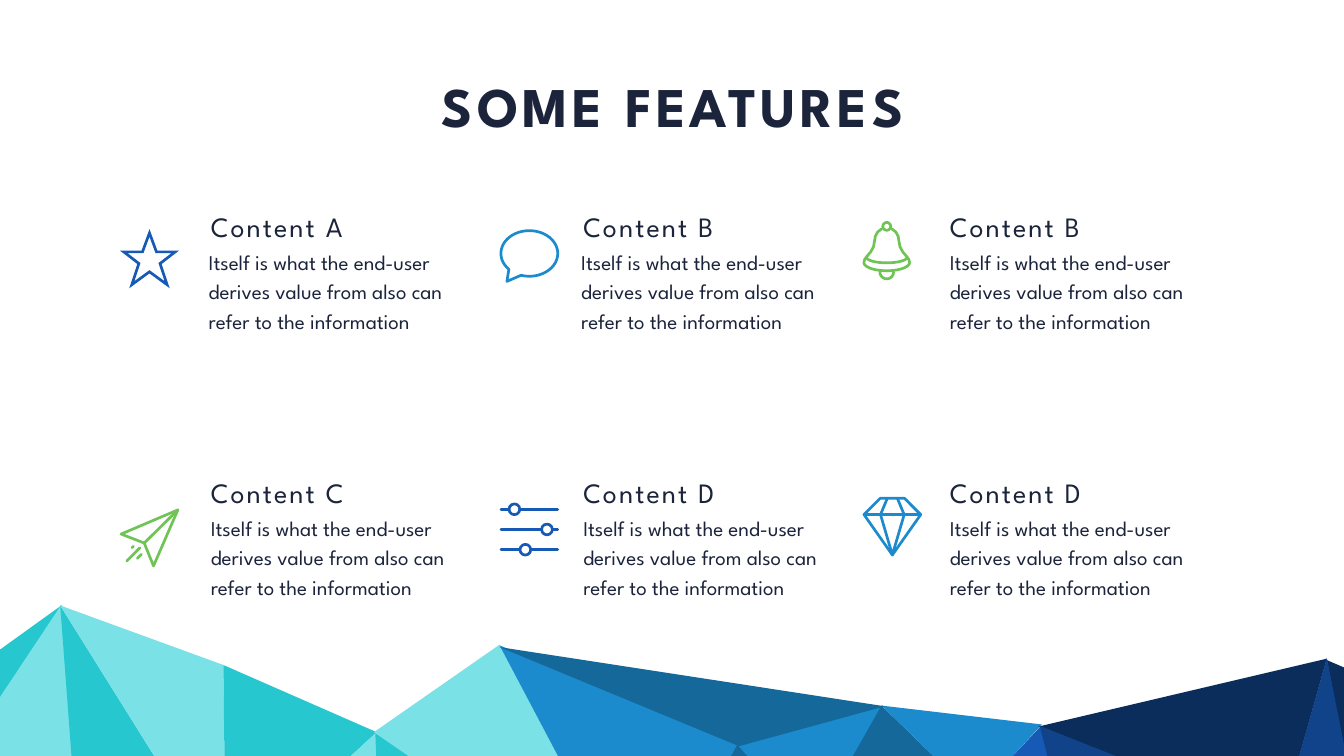
"""Build the "Some features" slide: six features with icons above a faceted mountain range."""
from math import cos, radians, sin

from lxml.etree import SubElement
from pptx import Presentation
from pptx.dml.color import RGBColor
from pptx.enum.shapes import MSO_CONNECTOR as Connector, MSO_SHAPE as Shape
from pptx.enum.text import MSO_AUTO_SIZE as AutoSize, PP_ALIGN as Align
from pptx.oxml.ns import qn
from pptx.util import Pt

COLORS = {"ink": "1B243B", "teal": "27C7CF", "aqua": "7AE1E6", "sky": "1B8BCD", "steel": "14689A",
          "blue": "165AB6", "navy": "0B2D5B", "royal": "104389", "green": "70C456"}
FONT = "League Spartan"
STROKE = 3.85
TITLE = "SOME FEATURES"
BODY = "Itself is what the end-user derives value from also can refer to the information"

FACETS = [
    ("teal", [(89, 864), (0, 928), (0, 999)]),
    ("aqua", [(112, 1198), (87, 865), (-2, 999), (-2, 1198)]),
    ("teal", [(294, 1198), (86, 865), (111, 1198)]),
    ("aqua", [(322, 1198), (319, 950), (86, 865), (294, 1198)]),
    ("teal", [(373, 1198), (538, 1046), (319, 950), (322, 1198)]),
    ("aqua", [(544, 1198), (538, 1046), (373, 1198)]),
    ("teal", [(757, 1198), (536, 1046), (542, 1198)]),
    ("aqua", [(860, 1198), (713.5, 921), (534, 1046), (755, 1198)]),
    ("sky", [(981, 1199.5), (1055.5, 1063), (713.5, 922), (860, 1199.5)]),
    ("sky", [(1052, 1065), (1159, 1186), (1261, 1008)]),
    ("steel", [(1158, 1186), (1393, 1138), (1259, 1008)]),
    ("sky", [(1259, 1008), (1392.5, 1138), (1488, 1035)]),
    ("blue", [(1529, 1203), (1487, 1037), (1391, 1139), (1460, 1203)]),
    ("navy", [(1483, 1038), (1829, 1176), (1895, 941)]),
    ("royal", [(1758, 1203), (1831, 1174), (1485, 1037), (1527, 1203)]),
    ("navy", [(1930, 958), (1895, 943), (1930, 1121)]),
    ("royal", [(1930, 1203), (1930, 1117), (1895, 940), (1829, 1174), (1872, 1203)]),
    ("steel", [(713.5, 924.5), (1263.5, 1009), (1055.5, 1066)]),
    ("steel", [(1131, 1201), (1161, 1185), (1053, 1064), (978.5, 1201)]),
]


def arc(cx, cy, rx, ry, start, end, steps=48):
    angles = [radians(start + (end - start) * i / steps) for i in range(steps + 1)]
    return [(cx + rx * cos(a), cy + ry * sin(a)) for a in angles]


def mirrored(half, axis):
    return [(2 * axis - x, y) for x, y in reversed(half)]


STAR_HALF = [(42.5, 5.4), (52.5, 32.4), (79.2, 32.4), (57.6, 49), (67.7, 79.2), (42.5, 60.8)]
BELL_SIDE = [(27.4, 10.8), (21.5, 15.5), (18.2, 21.5), (17.3, 27), (15.6, 36.5), (11.5, 44),
             (6, 50.5), (3, 54.5), (1.9, 59)]
GEM_HALF = [(35.3, 1.9), (25.6, 25.2), (42.5, 82.8)]
SLIDERS = [(21.2, 9.6), (67.7, 38.4), (36.8, 67.3)]
KNOB = 7.7

ICONS = {
    "star": {"color": "blue", "join": "miter",
             "outlines": [STAR_HALF + mirrored(STAR_HALF, 42.5)[1:-1]]},
    "bubble": {"color": "sky",
               "outlines": [arc(42.5, 34.6, 40.6, 32.6, 107, -224) + [(10.5, 74.5)]]},
    "bell": {"color": "green",
             "strokes": [BELL_SIDE + arc(34.5, 59, 32.6, 11.8, 180, 0) + mirrored(BELL_SIDE, 34.5),
                         arc(34.5, 51.5, 29, 8, 180, 0), arc(34.5, 72.7, 9.7, 9.7, 180, 0)],
             "circles": [(34.5, 7.4, 5.7)]},
    "plane": {"color": "green",
              "outlines": [[(2, 36.5), (83, 2), (48.3, 82), (35, 49.3)]],
              "strokes": [[(83, 2), (35, 49.3)], [(31, 65.5), (25, 71.3)],
                          [(28.8, 56), (10, 75)], [(19.5, 54), (17.5, 56)]]},
    "sliders": {"color": "blue",
                "strokes": [ends for x, y in SLIDERS
                            for ends in ([(2, y), (x - KNOB, y)], [(x + KNOB, y), (83, y)])],
                "circles": [(x, y, KNOB) for x, y in SLIDERS]},
    "gem": {"color": "sky",
            "outlines": [[(25.2, 1.9), (59.8, 1.9), (83, 25.2), (42.5, 82.8), (2, 25.2)]],
            "strokes": [[(2, 25.2), (83, 25.2)], GEM_HALF + mirrored(GEM_HALF, 42.5)[1:]]},
}

ICON_LEFTS = [171, 713.5, 1232]
TEXT_LEFTS = [294, 826, 1349.5]
HEADING_TOPS = [296, 676]
FEATURES = [
    [("Content A", "star", 327.5, -3), ("Content B", "bubble", 327.5, -3), ("Content B", "bell", 316, 0)],
    [("Content C", "plane", 726.5, 0), ("Content D", "sliders", 718, 0), ("Content D", "gem", 710, 0)],
]

deck = Presentation()
deck.slide_width, deck.slide_height = Pt(1919.5), Pt(1080)
slide = deck.slides.add_slide(deck.slide_layouts[6])
shapes = slide.shapes


def rgb(name):
    return RGBColor.from_string(COLORS[name])


def add_outline(points, closed=True):
    start, *rest = [(Pt(x), Pt(y)) for x, y in points]
    builder = shapes.build_freeform(*start)
    builder.add_line_segments(rest, close=closed)
    outline = builder.convert_to_shape()
    outline.shadow.inherit = False
    return outline


def set_stroke(part, color, join):
    part.line.color.rgb = rgb(color)
    part.line.width = Pt(STROKE)
    ln = part.line._get_or_add_ln()
    ln.set("cap", "rnd")
    corner = SubElement(ln, qn(f"a:{join}"))
    if join == "miter":
        corner.set("lim", "800000")


def add_icon(left, top, color, join="round", outlines=(), strokes=(), circles=()):
    for path, closed in [(p, True) for p in outlines] + [(p, False) for p in strokes]:
        points = [(left + x, top + y) for x, y in path]
        if len(points) == 2:
            part = shapes.add_connector(Connector.STRAIGHT, *[Pt(v) for point in points for v in point])
            SubElement(part._element.spPr, qn("a:effectLst"))
        else:
            part = add_outline(points, closed)
            part.fill.background()
        set_stroke(part, color, join)
    for x, y, r in circles:
        ring = shapes.add_shape(Shape.OVAL, Pt(left + x - r), Pt(top + y - r), Pt(2 * r), Pt(2 * r))
        ring.shadow.inherit = False
        ring.fill.background()
        set_stroke(ring, color, join)


def add_text(text, left, top, width, height, size, wrap=False, bold=False, tracking=0,
             align=None, leading=None):
    frame = shapes.add_textbox(Pt(left), Pt(top), Pt(width), Pt(height)).text_frame
    frame.word_wrap = wrap
    frame.auto_size = AutoSize.SHAPE_TO_FIT_TEXT
    frame.text = text
    paragraph = frame.paragraphs[0]
    paragraph.alignment = align
    if leading:
        paragraph.line_spacing = Pt(leading)
    run = paragraph.runs[0]
    run.font.name, run.font.size, run.font.bold = FONT, Pt(size), bold
    run.font.color.rgb = rgb("ink")
    if tracking:
        run._r.get_or_add_rPr().set("spc", str(tracking * 100))


for color, corners in FACETS:
    facet = add_outline(corners)
    facet.fill.solid()
    facet.fill.fore_color.rgb = rgb(color)
    facet.line.fill.background()

for heading_top, row in zip(HEADING_TOPS, FEATURES):
    for icon_left, text_left, (heading, icon, icon_top, shift) in zip(ICON_LEFTS, TEXT_LEFTS, row):
        add_icon(icon_left, icon_top, **ICONS[icon])
        add_text(BODY, text_left + shift, heading_top + 51, 395, 134.5, 30, wrap=True, leading=42)
        add_text(heading, text_left, heading_top, 228, 55.5, 40, tracking=3)

add_text(TITLE, 573, 98, 776, 104.5, 80, bold=True, tracking=6, align=Align.CENTER)
deck.save("out.pptx")
